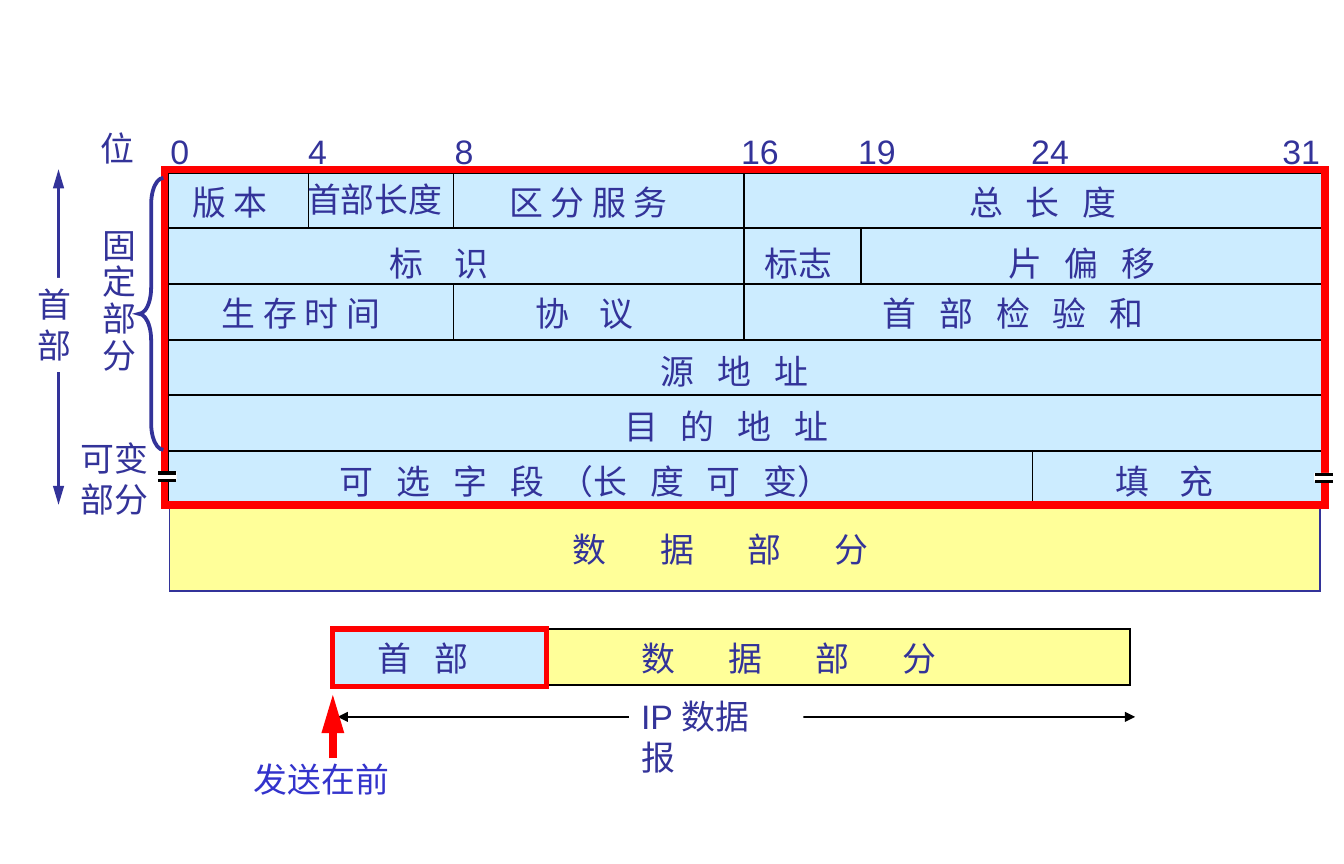
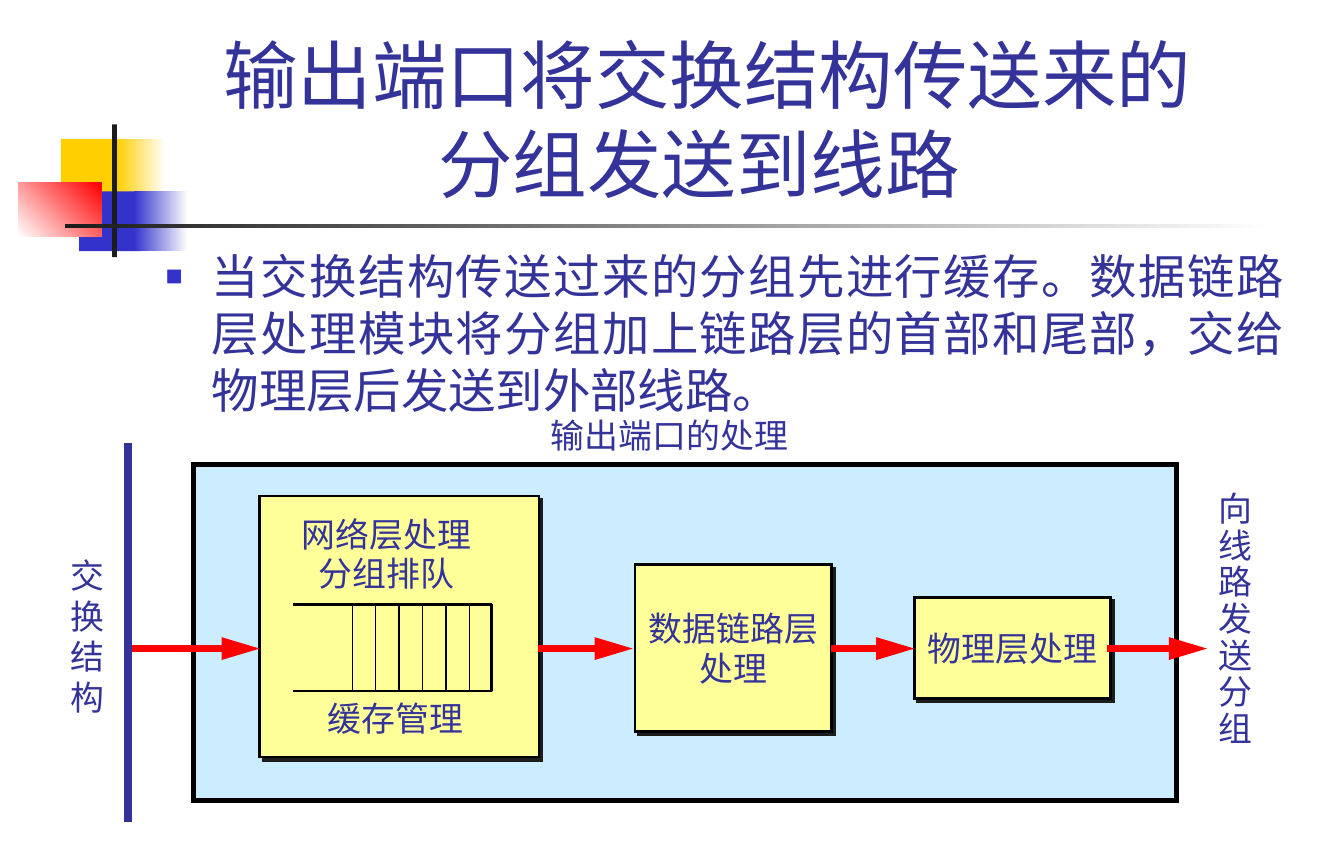
from typing import NamedTuple

from lxml.etree import SubElement
from pptx import Presentation
from pptx.dml.color import RGBColor
from pptx.enum.shapes import MSO_CONNECTOR, MSO_SHAPE
from pptx.enum.text import MSO_ANCHOR, MSO_AUTO_SIZE, PP_ALIGN
from pptx.oxml.ns import qn
from pptx.util import Inches, Pt

COLORS = {
    "text": "333399", "black": "000000", "white": "FFFFFF", "red": "FF0000",
    "sky": "CCECFF", "cream": "FFFF99", "blue": "3333CC", "gold": "FFCF01",
    "ink": "1C1C1C",
}
FONT = "Arial"
SPACE_WIDTH = 4.5
CM_PER_INCH = 2.54


class Label(NamedTuple):
    left: float
    top: float
    width: float
    text: str
    gap: int = 1
    height: float = 0.43
    spacing: float | None = None
    align: PP_ALIGN = PP_ALIGN.LEFT
    font: str = FONT
    color: str = "text"
    size: int = 20


class Box(NamedTuple):
    left: float
    top: float
    width: float
    height: float
    fill: str | None = None
    line: str | None = None
    weight: float = 1
    text: str = ""
    fade: str | None = None
    angle: float = 0


class Line(NamedTuple):
    x1: float
    y1: float
    x2: float
    y2: float
    color: str = "black"
    weight: float = 1
    ends: tuple[str, ...] = ()
    head: str = "lg"


def rgb(name: str) -> RGBColor:
    return RGBColor.from_string(COLORS[name])


def write(frame, label: Label) -> None:
    for index, content in enumerate(label.text.split("\n")):
        paragraph = frame.paragraphs[0] if index == 0 else frame.add_paragraph()
        paragraph.alignment = label.align
        if label.spacing:
            paragraph.line_spacing = label.spacing
        paragraph.font.size = Pt(label.size)
        paragraph.font.name = label.font
        paragraph.font.color.rgb = rgb(label.color)
        for position, part in enumerate(content.split("|")):
            run = paragraph.add_run()
            run.text = part
            if label.gap > 1 and position % 2 == 0:
                spread = (label.gap - 1) * SPACE_WIDTH / 2
                run._r.get_or_add_rPr().set("spc", str(round(spread * 100)))


def add_label(slide, label: Label):
    shape = slide.shapes.add_textbox(Inches(label.left), Inches(label.top),
                                     Inches(label.width), Inches(label.height))
    frame = shape.text_frame
    frame.word_wrap = False
    frame.auto_size = MSO_AUTO_SIZE.SHAPE_TO_FIT_TEXT
    write(frame, label)
    return shape


def add_box(slide, box: Box, kind: MSO_SHAPE = MSO_SHAPE.RECTANGLE):
    shape = slide.shapes.add_shape(kind, Inches(box.left), Inches(box.top),
                                   Inches(box.width), Inches(box.height))
    shape.shadow.inherit = False
    if box.fade:
        shape.fill.gradient()
        shape.fill.gradient_angle = box.angle
        for stop, color in zip(shape.fill.gradient_stops, (box.fill, box.fade)):
            stop.color.rgb = rgb(color)
    elif box.fill:
        shape.fill.solid()
        shape.fill.fore_color.rgb = rgb(box.fill)
    else:
        shape.fill.background()
    if box.line:
        shape.line.color.rgb = rgb(box.line)
        shape.line.width = Pt(box.weight)
        SubElement(shape._element.spPr.get_or_add_ln(), qn("a:miter"), lim="800000")
    else:
        shape.line.fill.background()
    if box.text:
        shape.text_frame.word_wrap = False
        shape.text_frame.vertical_anchor = MSO_ANCHOR.MIDDLE
        write(shape.text_frame, Label(0, 0, 0, box.text, align=PP_ALIGN.CENTER))
    return shape


def add_line(slide, line: Line) -> None:
    connector = slide.shapes.add_connector(
        MSO_CONNECTOR.STRAIGHT, Inches(line.x1), Inches(line.y1),
        Inches(line.x2), Inches(line.y2))
    connector.line.color.rgb = rgb(line.color)
    connector.line.width = Pt(line.weight)
    properties = connector._element.spPr
    for end in line.ends:
        SubElement(properties.get_or_add_ln(), qn(f"a:{end}"), type="triangle",
                   w="med", len=line.head)
    SubElement(properties, qn("a:effectLst"))


def add_drop_shadow(shape) -> None:
    effects = shape._element.spPr.find(qn("a:effectLst"))
    shadow = SubElement(effects, qn("a:outerShdw"), blurRad="0", dist="35560",
                        dir="2700000", algn="ctr", rotWithShape="0")
    SubElement(shadow, qn("a:srgbClr"), val=COLORS["ink"])


def add_decoration(slide) -> None:
    for box in (
        Box(0.5, 1.14, 0.53, 0.49, "gold"),
        Box(0.96, 1.14, 0.4, 0.49, "gold", fade="white"),
        Box(0.65, 1.57, 0.51, 0.49, "blue"),
        Box(1.1, 1.57, 0.44, 0.49, "blue", fade="white"),
        Box(0.15, 1.5, 0.68, 0.44, "white", fade="red", angle=45),
        Box(0.92, 1.02, 0.04, 1.09, "ink"),
        Box(0.53, 1.84, 9.92, 0.03, "ink", fade="white"),
    ):
        add_box(slide, box)


def add_title(slide, text: str) -> None:
    shape = add_label(slide, Label(1.67, 0.2, 8.27, text, height=1.55,
                                   align=PP_ALIGN.CENTER, size=44))
    shape.text_frame.word_wrap = True
    shape.text_frame.auto_size = MSO_AUTO_SIZE.NONE
    shape.text_frame.vertical_anchor = MSO_ANCHOR.BOTTOM


def add_body(slide, text: str) -> None:
    shape = slide.shapes.add_textbox(Inches(1.26), Inches(1.98), Inches(9.37), Inches(1.43))
    shape.text_frame.word_wrap = True
    properties = shape.text_frame.paragraphs[0]._p.get_or_add_pPr()
    properties.set("marL", str(Inches(0.38)))
    properties.set("indent", str(-Inches(0.38)))
    SubElement(SubElement(properties, qn("a:buClr")), qn("a:srgbClr"), val=COLORS["blue"])
    SubElement(properties, qn("a:buSzPct"), val="60000")
    SubElement(properties, qn("a:buFont"), typeface=FONT)
    SubElement(properties, qn("a:buChar"), char="■")
    write(shape.text_frame, Label(0, 0, 0, text, align=PP_ALIGN.JUSTIFY, size=28))


def build_datagram_slide(slide) -> None:
    both = ("headEnd", "tailEnd")
    add_line(slide, Line(2.77, 5.88, 9.31, 5.88, ends=both, head="med"))
    add_line(slide, Line(0.48, 1.39, 0.48, 4.14, "text", 2.25, both))
    for box in (
        Box(2.74, 5.16, 1.74, 0.46, "sky", "black"),
        Box(1.37, 1.41, 9.48, 2.73, "sky", "black", 2),
        Box(1.39, 4.15, 9.44, 0.7, "cream", "text"),
        Box(4.47, 5.16, 4.8, 0.46, "cream", "black"),
        Box(5.16, 5.66, 1.43, 0.43, "white"),
        Box(0.21, 2.28, 0.5, 0.77, "white"),
    ):
        add_box(slide, box)

    row_lines = [1.42] + [round(1.87 + 0.4575 * row, 2) for row in range(5)] + [4.15]
    for y in row_lines[1:-1]:
        add_line(slide, Line(1.36, y, 10.86, y))
    for x, first, last in ((2.53, 0, 1), (3.72, 0, 1), (3.72, 2, 3),
                           (6.1, 0, 3), (7.06, 1, 2), (8.47, 5, 6)):
        add_line(slide, Line(x, row_lines[first], x, row_lines[last]))

    for left, bit in ((1.3, 0), (2.43, 4), (3.63, 8), (5.98, 16),
                      (6.94, 19), (8.36, 24), (10.42, 31)):
        add_label(slide, Label(left, 1.02, 0.37 if bit < 10 else 0.53, str(bit)))

    for label in (
        Label(0.73, 1, 0.5, "位"),
        Label(1.48, 1.44, 0.87, "版 本"),
        Label(2.42, 1.42, 1.37, "首部长度"),
        Label(4.08, 1.44, 1.61, "区 分 服 务"),
        Label(7.85, 1.44, 1.56, "总 长 度", 3),
        Label(3.1, 1.94, 1.11, "标 识", 4),
        Label(6.17, 1.94, 0.79, "标志"),
        Label(8.17, 1.94, 1.56, "片 偏 移", 3),
        Label(1.72, 2.35, 1.61, "生 存 时 间"),
        Label(4.29, 2.35, 1.11, "协 议", 4),
        Label(7.14, 2.35, 2.62, "首 部 检 验 和", 3),
        Label(5.32, 2.83, 1.56, "源 地 址", 3),
        Label(5.02, 3.28, 2.09, "目 的 地 址", 3),
        Label(2.69, 3.73, 4.72, "可 选 字 段| （|长 度 可 |变）", 3),
        Label(9.05, 3.73, 1.11, "填 充", 4),
        Label(4.6, 4.29, 3.51, "数 据 部 分", 7),
        Label(5.16, 5.18, 3.73, "数 据 部 分", 7),
        Label(3, 5.18, 1.03, "首 部", 3),
        Label(0.21, 2.28, 0.5, "首\n部", height=0.77),
        Label(0.74, 1.83, 0.5, "固\n定\n部\n分", height=1.31, spacing=0.9),
        Label(0.56, 3.54, 0.79, "可变\n部分", height=0.77),
        Label(1.98, 6.17, 1.37, "发送在前", font="Times New Roman", color="blue"),
    ):
        add_label(slide, label)
    caption = add_label(slide, Label(5.16, 5.66, 1.3, "IP 数据报", height=0.77))
    caption.text_frame.word_wrap = True

    add_box(slide, Box(1.35, 1.39, 9.52, 2.75, line="red", weight=4.5))
    add_box(slide, Box(2.73, 5.16, 1.75, 0.47, line="red", weight=3))
    for left, top in ((1.29, 3.87), (10.78, 3.88)):
        add_box(slide, Box(left, top, 0.16, 0.07, "white"))
        for y in (top + 0.01, top + 0.07):
            add_line(slide, Line(left + 0.01, y, left + 0.15, y, weight=2))
    brace = add_box(slide, Box(1.14, 1.46, 0.2, 2.23, line="text", weight=2.25),
                    MSO_SHAPE.LEFT_BRACE)
    brace.adjustments[0] = 1.08
    add_line(slide, Line(2.73, 6.22, 2.73, 5.7, "red", 4.5, ("tailEnd",)))


def build_output_port_slide(slide) -> None:
    add_decoration(slide)
    add_title(slide, "输出端口将交换结构传送来的分组发送到线路 ")
    add_body(slide, "当交换结构传送过来的分组先进行缓存。数据链路层处理模块将分组加上链路层的首部和尾部，"
                    "交给物理层后发送到外部线路。")
    add_box(slide, Box(1.59, 3.81, 8.06, 2.76, "sky", "black", 3))
    for box in (
        Box(7.5, 4.9, 1.61, 0.83, "cream", "black", 1.5, "物理层处理"),
        Box(5.21, 4.63, 1.61, 1.37, "cream", "black", 1.5, "数据链路层\n处理"),
        Box(2.13, 4.07, 2.29, 2.14, "cream", "black", 1.5),
    ):
        add_drop_shadow(add_box(slide, box))
    for start, end in ((9.08, 9.9), (6.82, 7.5), (4.41, 5.19), (1.05, 2.13)):
        add_line(slide, Line(start, 5.32, end, 5.32, "red", 4.5, ("tailEnd",)))
    add_line(slide, Line(1.05, 3.63, 1.05, 6.74, "text", 4.5))

    left, right, top, bottom = 2.4, 4.03, 4.96, 5.67
    builder = slide.shapes.build_freeform(Inches(left), Inches(top))
    builder.add_line_segments([(Inches(x), Inches(y)) for x, y in
                               ((right, top), (right, bottom), (left, bottom))], close=False)
    queue = builder.convert_to_shape()
    queue.shadow.inherit = False
    queue.fill.background()
    queue.line.color.rgb = rgb("black")
    queue.line.width = Pt(1.5)
    for slot in range(6):
        x = 2.89 + 0.192 * slot
        add_line(slide, Line(x, top, x, bottom, weight=0.75))

    for label in (
        Label(2.34, 4.19, 1.66, "网络层处理\n分组排队", height=0.74, spacing=0.95,
              align=PP_ALIGN.CENTER),
        Label(4.42, 3.35, 2.15, "输出端口的处理"),
        Label(9.9, 3.99, 0.5, "向\n线\n路\n发\n送\n分\n组", height=2.22, spacing=0.9),
        Label(2.59, 5.67, 1.37, "缓存管理"),
        Label(0.48, 4.5, 0.5, "交\n换\n结\n构", height=1.45),
    ):
        add_label(slide, label)


def main() -> None:
    presentation = Presentation()
    presentation.slide_width = Inches(28 / CM_PER_INCH)
    presentation.slide_height = Inches(18 / CM_PER_INCH)
    for build in (build_datagram_slide, build_output_port_slide):
        build(presentation.slides.add_slide(presentation.slide_layouts[6]))
    presentation.save("out.pptx")


if __name__ == "__main__":
    main()
